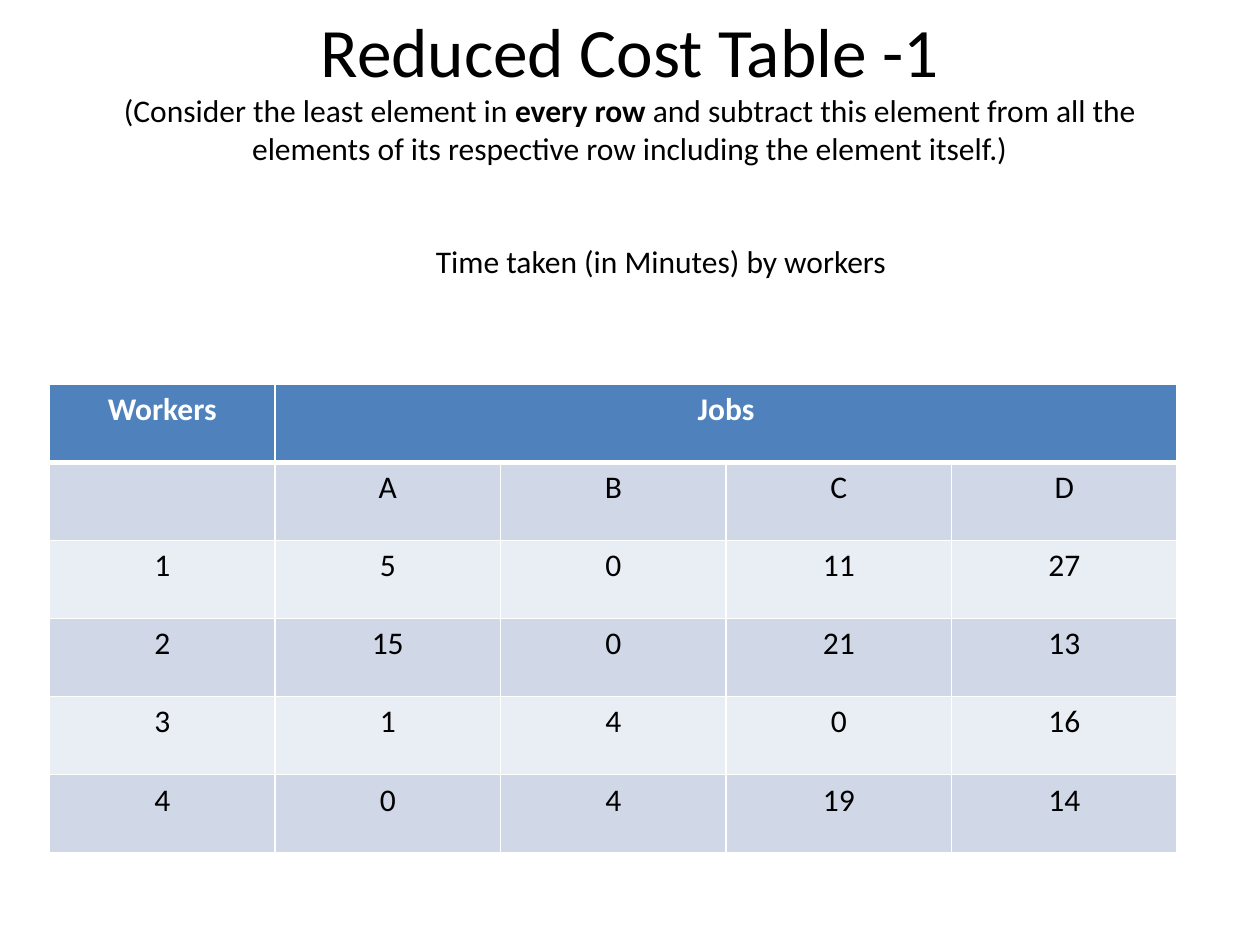
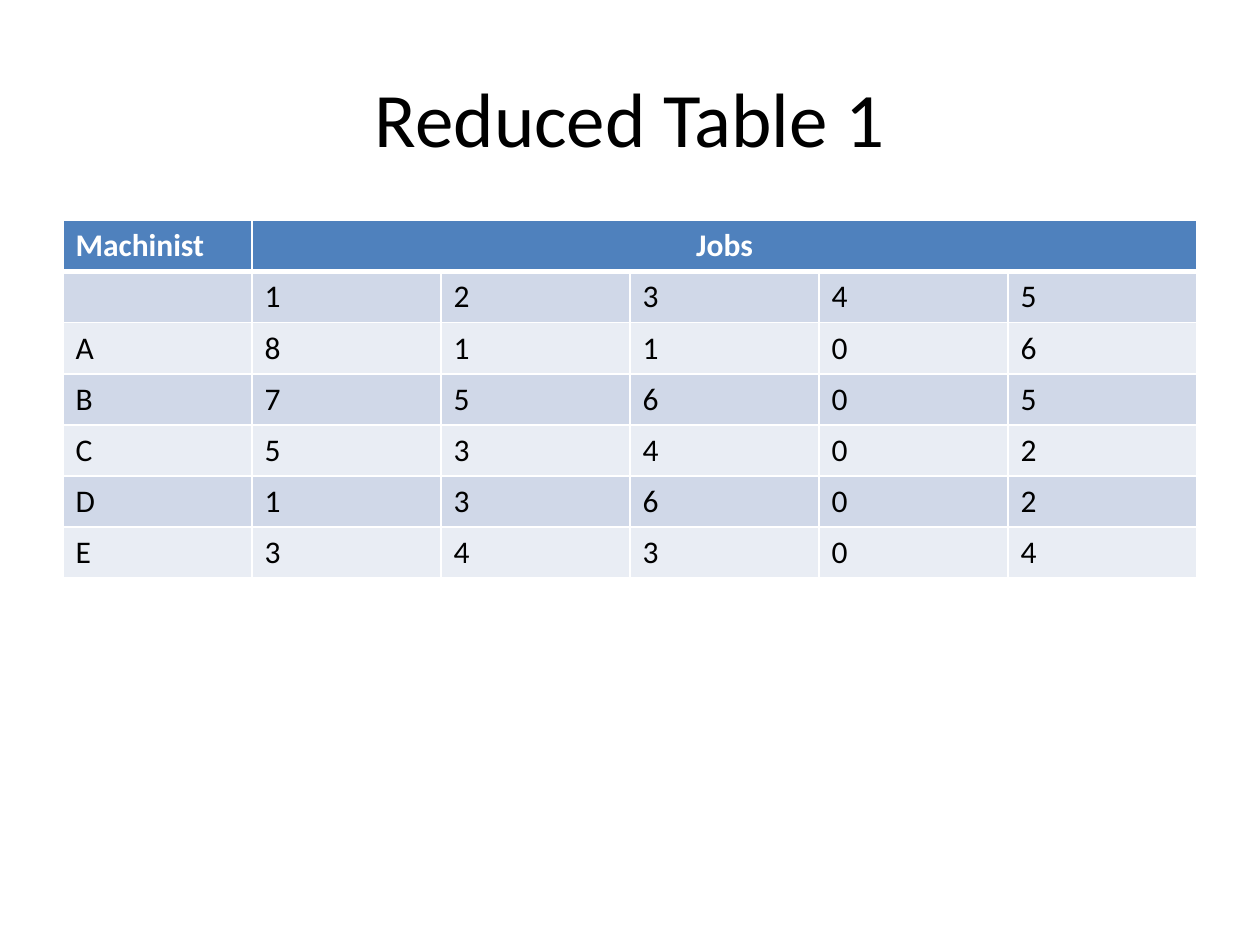
from dataclasses import dataclass

from lxml import etree
from pptx import Presentation
from pptx.dml.color import RGBColor
from pptx.enum.text import MSO_ANCHOR, PP_ALIGN
from pptx.oxml.ns import qn
from pptx.slide import Slide
from pptx.util import Pt

LEFT, CENTER = PP_ALIGN.LEFT, PP_ALIGN.CENTER
TOP, MIDDLE = MSO_ANCHOR.TOP, MSO_ANCHOR.MIDDLE

FONT = "Calibri"
BODY = 18
BLACK, WHITE = "000000", "FFFFFF"
HEAD = "4F81BD"
BANDS = ("D0D8E8", "E9EDF4")
THIN, THICK = 1, 3


@dataclass(frozen=True)
class Box:
    left: float
    top: float
    width: float
    height: float

    def size(self) -> tuple[Pt, Pt, Pt, Pt]:
        return Pt(self.left), Pt(self.top), Pt(self.width), Pt(self.height)


@dataclass(frozen=True)
class Piece:
    text: str
    size: float = BODY
    bold: bool = False
    color: str = BLACK


@dataclass(frozen=True)
class Label:
    """A text box; each line is a tuple of pieces."""
    box: Box
    lines: tuple[tuple[Piece, ...], ...]
    align: PP_ALIGN = CENTER
    anchor: MSO_ANCHOR = MIDDLE


@dataclass(frozen=True)
class Grid:
    """A cost table: corner title, job names, then one row per worker."""
    box: Box
    corner: str
    jobs: str
    rows: tuple[str, ...]
    align: PP_ALIGN


def rgb(code: str) -> RGBColor:
    return RGBColor.from_string(code)


def write(para, piece: Piece) -> None:
    run = para.add_run()
    run.text = piece.text
    style = {"name": FONT, "size": Pt(piece.size), "bold": piece.bold}
    for key, value in style.items():
        setattr(run.font, key, value)
    run.font.color.rgb = rgb(piece.color)


def draw_label(slide: Slide, label: Label) -> None:
    frame = slide.shapes.add_textbox(*label.box.size()).text_frame
    style = {"word_wrap": True, "vertical_anchor": label.anchor}
    for key, value in style.items():
        setattr(frame, key, value)
    para = frame.paragraphs[0]
    para.alignment = label.align
    for index, line in enumerate(label.lines):
        if index:
            para.add_line_break()
        for piece in line:
            write(para, piece)


def edge(cell, row: int) -> None:
    """Draw white cell borders, with a thick rule under the header."""
    widths = {
        "L": THIN,
        "R": THIN,
        "T": THICK if row == 1 else THIN,
        "B": THICK if row == 0 else THIN,
    }
    props = cell._tc.get_or_add_tcPr()
    for index, (side, width) in enumerate(widths.items()):
        line = etree.Element(qn(f"a:ln{side}"), w=str(Pt(width)))
        fill = etree.SubElement(line, qn("a:solidFill"))
        etree.SubElement(fill, qn("a:srgbClr"), val=WHITE)
        props.insert(index, line)


def draw_grid(slide: Slide, grid: Grid) -> None:
    jobs = grid.jobs.split()
    cols = len(jobs) + 1
    data = [
        [grid.corner, "Jobs"] + [""] * (cols - 2),
        ["", *jobs],
        *(row.split() for row in grid.rows),
    ]
    table = slide.shapes.add_table(len(data), cols, *grid.box.size()).table
    for col in table.columns:
        col.width = Pt(grid.box.width / cols)
    for row in table.rows:
        row.height = Pt(grid.box.height / len(data))
    table.cell(0, 1).merge(table.cell(0, cols - 1))

    for r, texts in enumerate(data):
        top = r == 0
        for c, text in enumerate(texts):
            cell = table.cell(r, c)
            cell.fill.solid()
            cell.fill.fore_color.rgb = rgb(HEAD if top else BANDS[(r - 1) % 2])
            edge(cell, r)
            if text:
                para = cell.text_frame.paragraphs[0]
                para.alignment = CENTER if top and c else grid.align
                write(para, Piece(text, bold=top, color=WHITE if top else BLACK))


def title(height: float, *lines: tuple[Piece, ...]) -> Label:
    return Label(Box(36, 21.6, 648, height), lines)


SLIDES = (
    (
        title(
            56.9,
            (Piece("Reduced Cost Table -1", 39.6),),
            (
                Piece("(Consider the least element in "),
                Piece("every row", bold=True),
                Piece(" and subtract this element from all the elements of "
                      "its respective row including the element itself.)"),
            ),
        ),
        Grid(
            Box(28.3, 219.6, 644.4, 267.8), "Workers", "A B C D",
            ("1 5 0 11 27", "2 15 0 21 13", "3 1 4 0 16", "4 0 4 19 14"),
            CENTER,
        ),
        Label(
            Box(242, 134.6, 286.6, 51),
            ((Piece("Time taken (in Minutes) by workers"),),),
            LEFT, TOP,
        ),
    ),
    (
        title(90, (Piece("Reduced Table 1", 44),)),
        Grid(
            Box(36, 126, 648, 204.4), "Machinist", "1 2 3 4 5",
            ("A 8 1 1 0 6", "B 7 5 6 0 5", "C 5 3 4 0 2",
             "D 1 3 6 0 2", "E 3 4 3 0 4"),
            LEFT,
        ),
    ),
)


def main() -> None:
    deck = Presentation()
    deck.slide_width, deck.slide_height = Pt(720), Pt(540)
    blank = deck.slide_layouts[6]
    for items in SLIDES:
        slide = deck.slides.add_slide(blank)
        for item in items:
            draw = draw_grid if isinstance(item, Grid) else draw_label
            draw(slide, item)
    deck.save("out.pptx")


if __name__ == "__main__":
    main()
